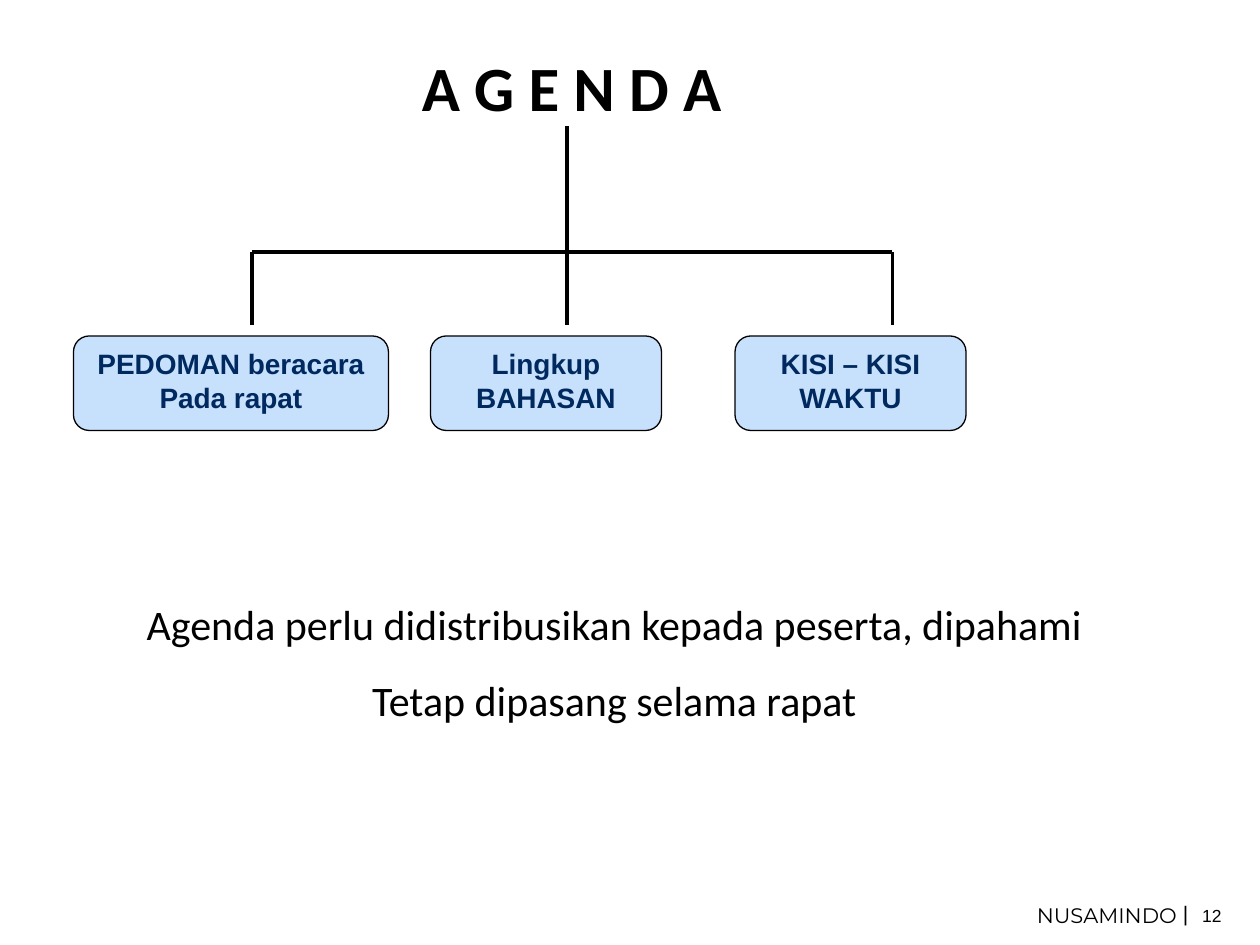
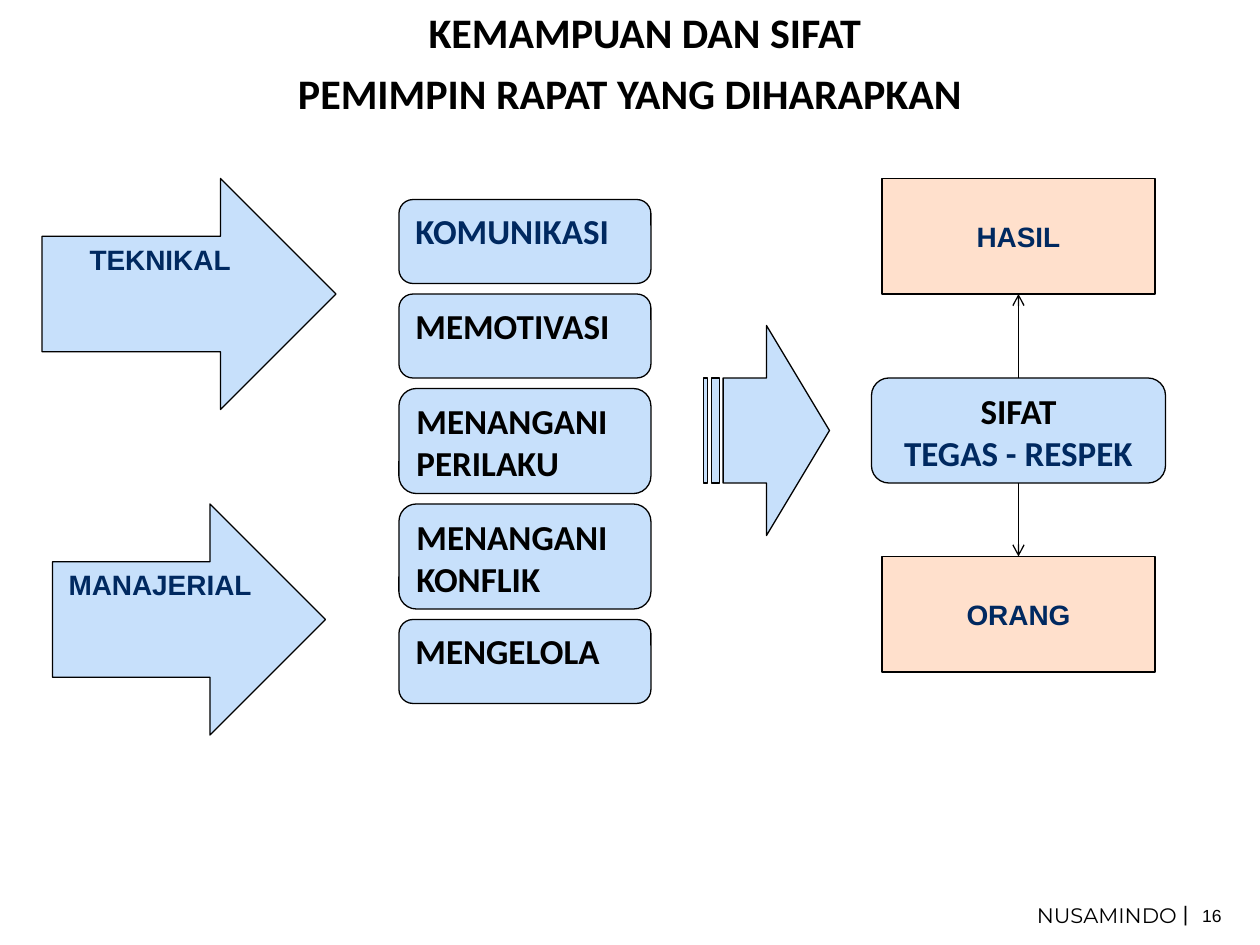
from lxml import etree
from pptx import Presentation
from pptx.dml.color import RGBColor
from pptx.enum.shapes import MSO_CONNECTOR, MSO_SHAPE
from pptx.enum.text import MSO_ANCHOR, PP_ALIGN
from pptx.oxml.ns import qn
from pptx.util import Pt

LEFT, CENTER, RIGHT = PP_ALIGN.LEFT, PP_ALIGN.CENTER, PP_ALIGN.RIGHT
TOP, MIDDLE = MSO_ANCHOR.TOP, MSO_ANCHOR.MIDDLE
RECT, ROUND = MSO_SHAPE.RECTANGLE, MSO_SHAPE.ROUNDED_RECTANGLE
ARROW, STRIPED = MSO_SHAPE.RIGHT_ARROW, MSO_SHAPE.STRIPED_RIGHT_ARROW
STRAIGHT = MSO_CONNECTOR.STRAIGHT

BLACK, NAVY, BLUE, PEACH, WHITE = "000000", "002960", "C7E0FB", "FFE0CC", "FFFFFF"
HEAD, LABEL = "Calibri", "Arial"


def rgb(value):
    return RGBColor.from_string(value)


def write(tf, lines, size, font, color=BLACK, bold=False, align=LEFT,
          anchor=TOP, before=0, spacing=None):
    """Write one paragraph per line; a line may be a (text, color) pair."""
    tf.word_wrap = True
    tf.vertical_anchor = anchor
    for i, line in enumerate(lines):
        text, line_color = (line, color) if isinstance(line, str) else line
        p = tf.paragraphs[0] if i == 0 else tf.add_paragraph()
        p.alignment = align
        p.space_before = Pt(before)
        if spacing:
            p.line_spacing = spacing
        r = p.add_run()
        r.text = text
        r.font.size, r.font.name, r.font.bold = Pt(size), font, bold
        r.font.color.rgb = rgb(line_color)


def add_text(s, box, lines, size, font, inset=True, **style):
    tf = s.shapes.add_textbox(*map(Pt, box)).text_frame
    write(tf, lines, size, font, **style)
    if not inset:
        tf.margin_left = tf.margin_right = tf.margin_top = tf.margin_bottom = 0
        tf.word_wrap = False
    return tf


def add_box(s, kind, box, fill=BLUE):
    sp = s.shapes.add_shape(kind, *map(Pt, box))
    sp.shadow.inherit = False
    sp.fill.solid()
    sp.fill.fore_color.rgb = rgb(fill)
    sp.line.color.rgb = rgb(BLACK)
    sp.line.width = Pt(0.75)
    return sp


def add_label(s, kind, box, lines, fill=BLUE, anchor=TOP):
    sp = add_box(s, kind, box, fill)
    write(sp.text_frame, lines, 16, LABEL, color=NAVY, bold=True,
          align=CENTER, anchor=anchor)
    return sp


def add_line(s, x1, y1, x2, y2, width):
    c = s.shapes.add_connector(STRAIGHT, Pt(x1), Pt(y1), Pt(x2), Pt(y2))
    c.line.color.rgb = rgb(BLACK)
    c.line.width = Pt(width)
    etree.SubElement(c._element.spPr, qn("a:effectLst"))
    return c


def join_with_arrow(s, start, start_side, end, end_side):
    c = add_line(s, 0, 0, 0, 0, 0.75)
    c.begin_connect(start, start_side)
    c.end_connect(end, end_side)
    etree.SubElement(c.line._get_or_add_ln(), qn("a:tailEnd"), type="arrow")


def add_footer(s, number):
    add_text(s, (584, 512, 97, 22), ["NUSAMINDO"], 12, "Montserrat", align=CENTER)
    add_text(s, (676, 514, 3, 15), ["|"], 12, LABEL, inset=False,
             align=RIGHT, anchor=MIDDLE)
    add_text(s, (687, 517, 16, 12), [str(number)], 10, LABEL, inset=False)


def new_slide(prs, number):
    s = prs.slides.add_slide(prs.slide_layouts[6])
    s.background.fill.solid()
    s.background.fill.fore_color.rgb = rgb(WHITE)
    add_footer(s, number)
    return s


def add_tree(s, x, y, branches):
    """Draw a trunk from (x, y) that splits into branches at given x offsets."""
    fork, tip = y + 72, y + 114
    ends = [x + offset for offset, _, _, _ in branches]
    add_line(s, x, y, x, fork, 2.25)
    add_line(s, ends[0], fork, ends[-1], fork, 2.25)
    for end, (_, left, width, lines) in zip(ends, branches):
        add_line(s, end, fork, end, tip, 2.25)
        add_label(s, ROUND, (x + left, tip + 6, width, 54), lines)


def agenda_slide(prs):
    s = new_slide(prs, 12)
    add_text(s, (234, 24, 188, 51), ["A G E N D A"], 36, HEAD, bold=True, before=6)
    add_tree(s, 324, 72, [
        (-180, -282, 180, ["PEDOMAN beracara", "Pada rapat"]),
        (0, -78, 132, ["Lingkup", "BAHASAN"]),
        (186, 96, 132, ["KISI – KISI", "WAKTU"]),
    ])
    add_text(s, (36, 324, 630, 90),
             ["Agenda perlu didistribusikan kepada peserta, dipahami",
              "Tetap dipasang selama rapat"],
             24, HEAD, align=CENTER, spacing=1.5)


def add_skills(s, x, y, skills, gap=6):
    for text, height, color in skills:
        sp = add_box(s, ROUND, (x, y, 144, height))
        write(sp.text_frame, [text], 20, HEAD, color=color, bold=True)
        y += height + gap


def add_traits(s, x, y):
    """Place the leader's traits between the two goals they point to."""
    traits = add_box(s, ROUND, (x, y + 114, 168, 60))
    write(traits.text_frame, ["SIFAT", ("TEGAS - RESPEK", NAVY)], 20, HEAD,
          bold=True, align=CENTER)
    for text, top, side in (("HASIL", 0, 0), ("ORANG", 216, 2)):
        goal = add_label(s, RECT, (x + 6, y + top, 156, 66), [text], PEACH, MIDDLE)
        join_with_arrow(s, traits, side, goal, 2 - side)


def leader_slide(prs):
    s = new_slide(prs, 16)
    tf = add_text(s, (0, 0, 720, 71),
                  ["KEMAMPUAN DAN SIFAT", "PEMIMPIN RAPAT YANG DIHARAPKAN"],
                  24, HEAD, bold=True, align=CENTER, before=6)
    tf.paragraphs[0]._p.get_or_add_pPr().set("marL", str(Pt(17)))
    add_skills(s, 228, 114, [
        ("KOMUNIKASI", 48, NAVY),
        ("MEMOTIVASI", 48, BLACK),
        ("MENANGANI PERILAKU", 60, BLACK),
        ("MENANGANI KONFLIK", 60, BLACK),
        ("MENGELOLA", 48, BLACK),
    ])
    add_label(s, ARROW, (24, 102, 168, 132), ["TEKNIKAL"])
    add_label(s, ARROW, (30, 288, 156, 132), ["MANAJERIAL"])
    add_box(s, STRIPED, (402, 186, 72, 120))
    add_traits(s, 498, 102)


def main():
    prs = Presentation()
    prs.slide_width, prs.slide_height = Pt(720), Pt(540)
    agenda_slide(prs)
    leader_slide(prs)
    prs.save("out.pptx")


if __name__ == "__main__":
    main()
